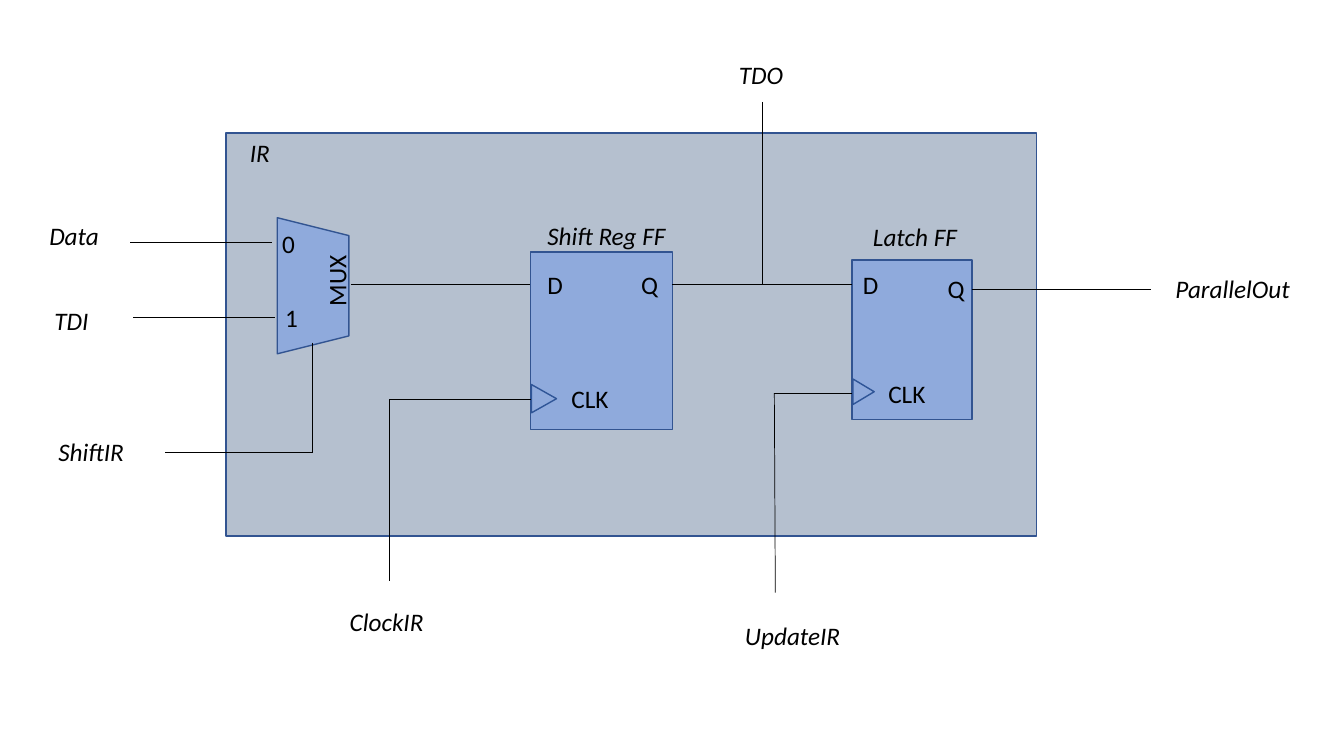
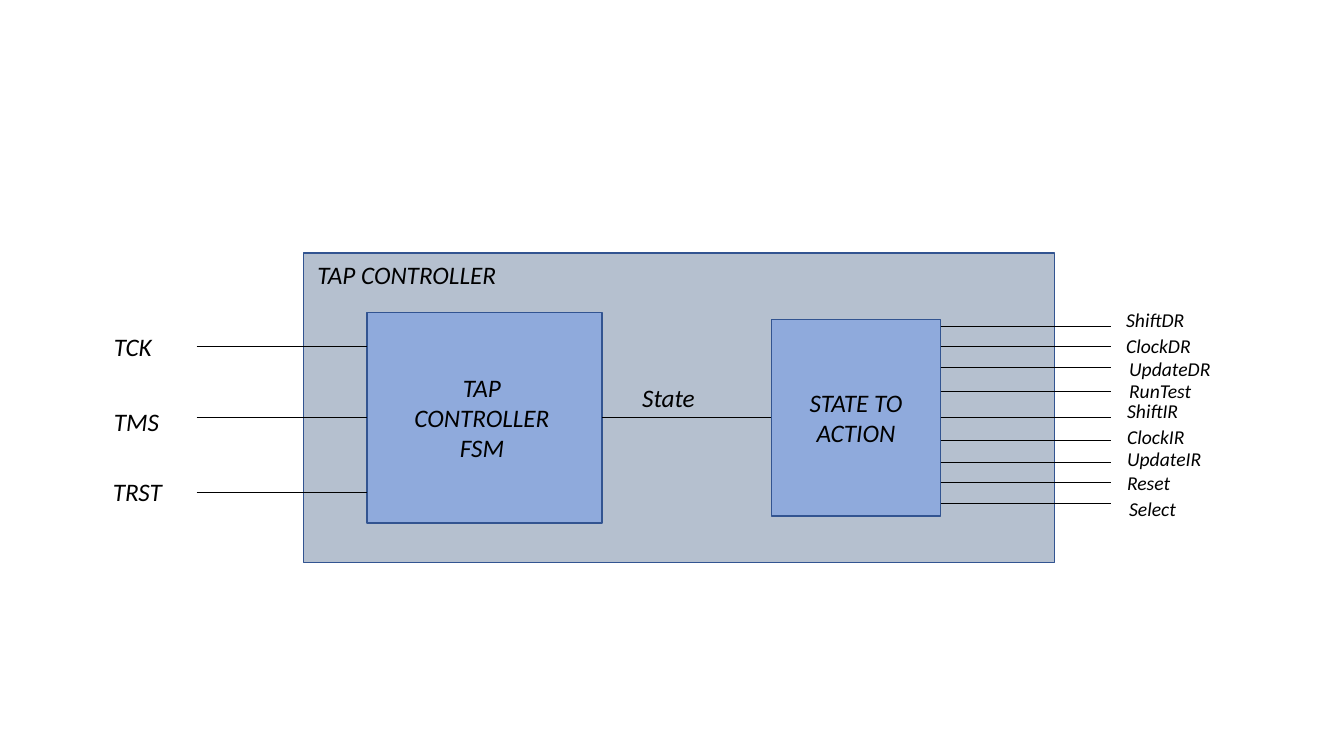
from lxml.etree import SubElement
from pptx import Presentation
from pptx.dml.color import RGBColor
from pptx.enum.shapes import MSO_CONNECTOR, MSO_SHAPE
from pptx.enum.text import PP_ALIGN
from pptx.oxml.ns import qn
from pptx.util import Inches, Pt

COLORS = {"panel": "8497B0", "block": "8FAADC", "edge": "325491",
          "clock_edge": "2F5597", "ink": "000000"}
FONT = "Calibri"


def rgb(name):
    return RGBColor.from_string(COLORS[name])


def outline(group, kind, x, y, w, h, fill=None, edge="edge", rotation=0):
    shape = group.shapes.add_shape(kind, Inches(x), Inches(y), Inches(w), Inches(h))
    shape.shadow.inherit = False
    shape.rotation = rotation
    shape.line.color.rgb = rgb(edge)
    shape.line.width = Pt(1)
    if fill:
        shape.fill.solid()
        shape.fill.fore_color.rgb = rgb(fill)
    else:
        shape.fill.background()
    return shape


def turned(group, kind, x, y, w, h, **style):
    return outline(group, kind, x + (w - h) / 2, y + (h - w) / 2, h, w,
                   rotation=90, **style)


def block(group, x, y, w, h):
    return outline(group, MSO_SHAPE.RECTANGLE, x, y, w, h, "block")


def panel(group, x, y, w, h):
    frame = outline(group, MSO_SHAPE.RECTANGLE, x, y, w, h, "panel")
    color = frame.fill._xPr.find(qn("a:solidFill"))[0]
    SubElement(color, qn("a:alpha"), val="60000")


def label(group, text, x, y, w=1.45, h=0.4, size=18, italic=True,
          align=PP_ALIGN.LEFT, rotation=0):
    box = group.shapes.add_textbox(Inches(x), Inches(y), Inches(w), Inches(h))
    box.rotation = rotation
    box.text_frame.word_wrap = True
    box.text_frame.text = text
    for paragraph in box.text_frame.paragraphs:
        paragraph.alignment = align
        for run in paragraph.runs:
            run.font.name = FONT
            run.font.size = Pt(size)
            run.font.italic = italic
            run.font.color.rgb = rgb("ink")


def wire(group, x1, y1, x2, y2):
    line = group.shapes.add_connector(MSO_CONNECTOR.STRAIGHT, Inches(x1), Inches(y1),
                                      Inches(x2), Inches(y2))
    line.line.color.rgb = rgb("ink")
    line.line.width = Pt(0.5)
    SubElement(line._element.spPr, qn("a:effectLst"))


def multiplexer(group, x, y, w, h):
    turned(group, MSO_SHAPE.TRAPEZOID, x, y, w, h, fill="block")
    label(group, "0", x - 0.05, y + 0.06, 0.4, italic=False)
    label(group, "1", x - 0.02, y + 0.79, 0.4, italic=False)
    label(group, "MUX", x + 0.08, y + 0.33, 0.95, 0.34, italic=False, rotation=270)


def flip_flop(group, x, y, w, h, caption, caption_at, d_at, q_at):
    block(group, x, y, w, h)
    clock_w, clock_h = 0.177 * w, 0.16 * h
    turned(group, MSO_SHAPE.ISOSCELES_TRIANGLE, x + 0.01, y + 0.827 * h - clock_h / 2,
           clock_w, clock_h, edge="clock_edge")
    for pin, (dx, dy) in (("D", d_at), ("Q", q_at), ("CLK", (0.22 * w, 0.713 * h))):
        label(group, pin, x + dx, y + dy, 0.76, italic=False)
    label(group, caption, x + caption_at[0], y + caption_at[1])


def instruction_register(group, x, y, w, h):
    panel(group, x, y, w, h)
    flip_flop(group, x + 3.02, y + 1.18, 1.41, 1.76, "Shift Reg FF",
              (0.07, -0.36), (0.07, 0.12), (1.0, 0.12))
    multiplexer(group, x + 0.51, y + 0.84, 0.71, 1.35)
    flip_flop(group, x + 6.21, y + 1.26, 1.19, 1.58, "Latch FF",
              (0.11, -0.43), (0.01, 0.04), (0.85, 0.08))
    data_y, clock_y, latch_clock_y, select_y = 1.5, 2.64, 2.58, 3.17
    wires = [
        (1.24, data_y, 3.02, data_y), (4.43, data_y, 6.21, data_y),
        (-0.95, 1.08, 0.46, 1.08), (-0.92, 1.83, 0.49, 1.83),
        (1.62, clock_y, 3.03, clock_y), (1.62, clock_y, 1.62, 4.44),
        (5.44, latch_clock_y, 6.21, latch_clock_y), (5.44, latch_clock_y, 5.45, 4.56),
        (0.86, 2.08, 0.86, select_y), (-0.6, select_y, 0.86, select_y),
        (7.4, 1.55, 9.18, 1.55), (5.32, -0.31, 5.32, data_y),
    ]
    for x1, y1, x2, y2 in wires:
        wire(group, x + x1, y + y1, x + x2, y + y2)
    signals = [
        ("IR", 0.14, -0.01), ("Data", -1.85, 0.82), ("TDI", -1.8, 1.66),
        ("ShiftIR", -1.76, 2.96), ("ClockIR", 1.13, 4.65), ("UpdateIR", 5.05, 4.78),
        ("ParallelOut", 9.32, 1.34), ("TDO", 4.99, -0.78),
    ]
    for name, dx, dy in signals:
        label(group, name, x + dx, y + dy)


def tap_inputs(group, x, y, length):
    for name, wire_y, label_x, label_y in (("TCK", 0.34, -0.92, 0.14),
                                           ("TMS", 1.04, -0.92, 0.88),
                                           ("TRST", 1.78, -0.93, 1.58)):
        wire(group, x, y + wire_y, x + length, y + wire_y)
        label(group, name, x + label_x, y + label_y, 0.92)


def action_outputs(group, x, y, length):
    outputs = [
        ("ShiftDR", 0.07, 0.05, -0.16), ("ClockDR", 0.27, 0.05, 0.09),
        ("UpdateDR", 0.47, 0.08, 0.32), ("RunTest", 0.71, 0.08, 0.54),
        ("ShiftIR", 0.97, 0.06, 0.74), ("ClockIR", 1.2, 0.06, 1.0),
        ("UpdateIR", 1.42, 0.06, 1.21), ("Reset", 1.62, 0.06, 1.45),
        ("Select", 1.82, 0.08, 1.71),
    ]
    for name, wire_y, label_x, label_y in outputs:
        wire(group, x, y + wire_y, x + length, y + wire_y)
        label(group, name, x + length + label_x, y + label_y, 1.49, 0.34, size=14)


def tap_controller(group, x, y, w, h):
    panel(group, x, y, w, h)
    fsm_x, fsm_y, fsm_w, fsm_h = x + 0.63, y + 0.59, 2.33, 2.09
    action_x, action_y, action_w, action_h = x + 4.64, y + 0.66, 1.68, 1.95
    wire_length = 1.69
    block(group, fsm_x, fsm_y, fsm_w, fsm_h)
    block(group, action_x, action_y, action_w, action_h)
    tap_inputs(group, fsm_x - wire_length, fsm_y, wire_length)
    wire(group, fsm_x + fsm_w, fsm_y + 1.04, action_x, fsm_y + 1.04)
    label(group, "State", fsm_x + fsm_w + 0.3, fsm_y + 0.64, 0.92)
    action_outputs(group, action_x + action_w, action_y, wire_length)
    label(group, "TAP\nCONTROLLER\nFSM", fsm_x + 0.3, fsm_y + 0.54, 1.68, 1.01,
          align=PP_ALIGN.CENTER)
    label(group, "STATE TO ACTION", action_x, action_y + 0.62, action_w, 0.71,
          align=PP_ALIGN.CENTER)
    label(group, "TAP CONTROLLER", x - 0.14, y + 0.01, 2.33, align=PP_ALIGN.CENTER)


deck = Presentation()
deck.slide_width, deck.slide_height = Inches(13.33), Inches(7.5)
for draw, box in ((instruction_register, (2.24, 1.32, 8.04, 4)),
                  (tap_controller, (3.01, 2.51, 7.45, 3.07))):
    slide = deck.slides.add_slide(deck.slide_layouts[6])
    draw(slide.shapes.add_group_shape(), *box)
deck.save("out.pptx")
